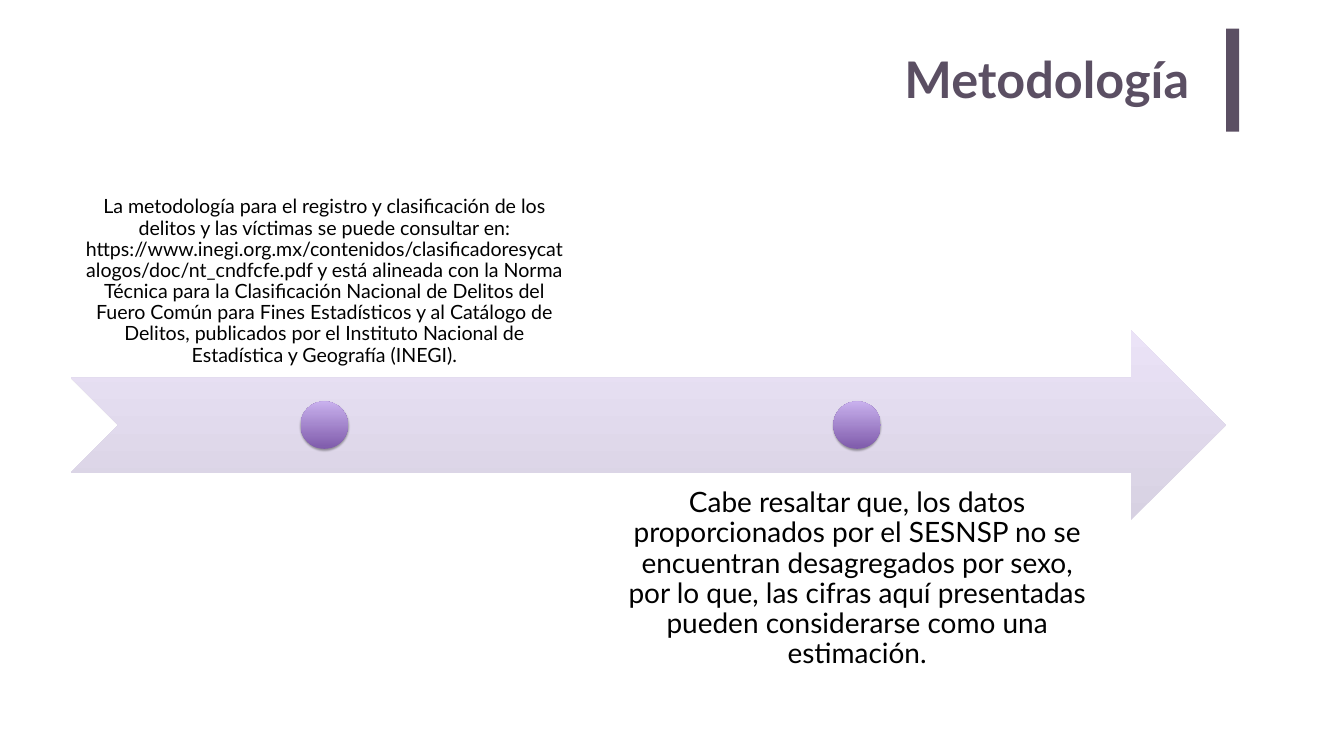
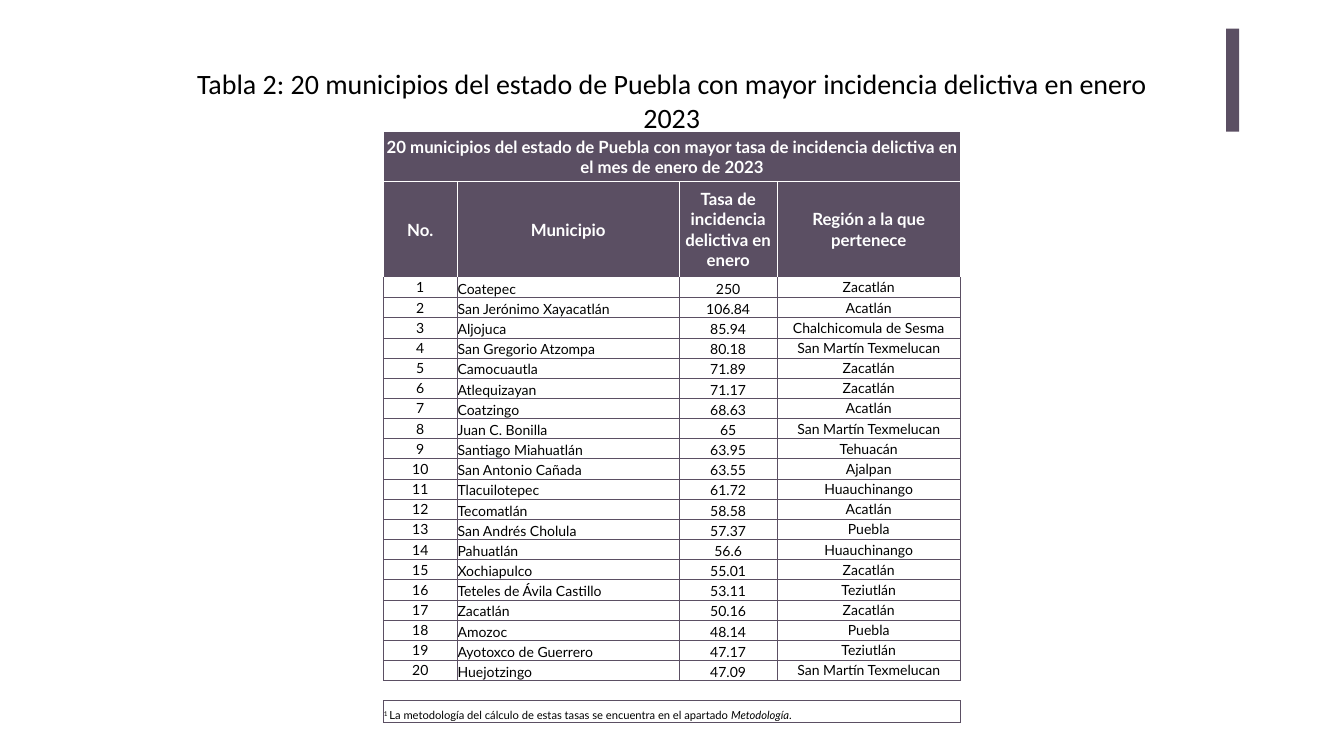
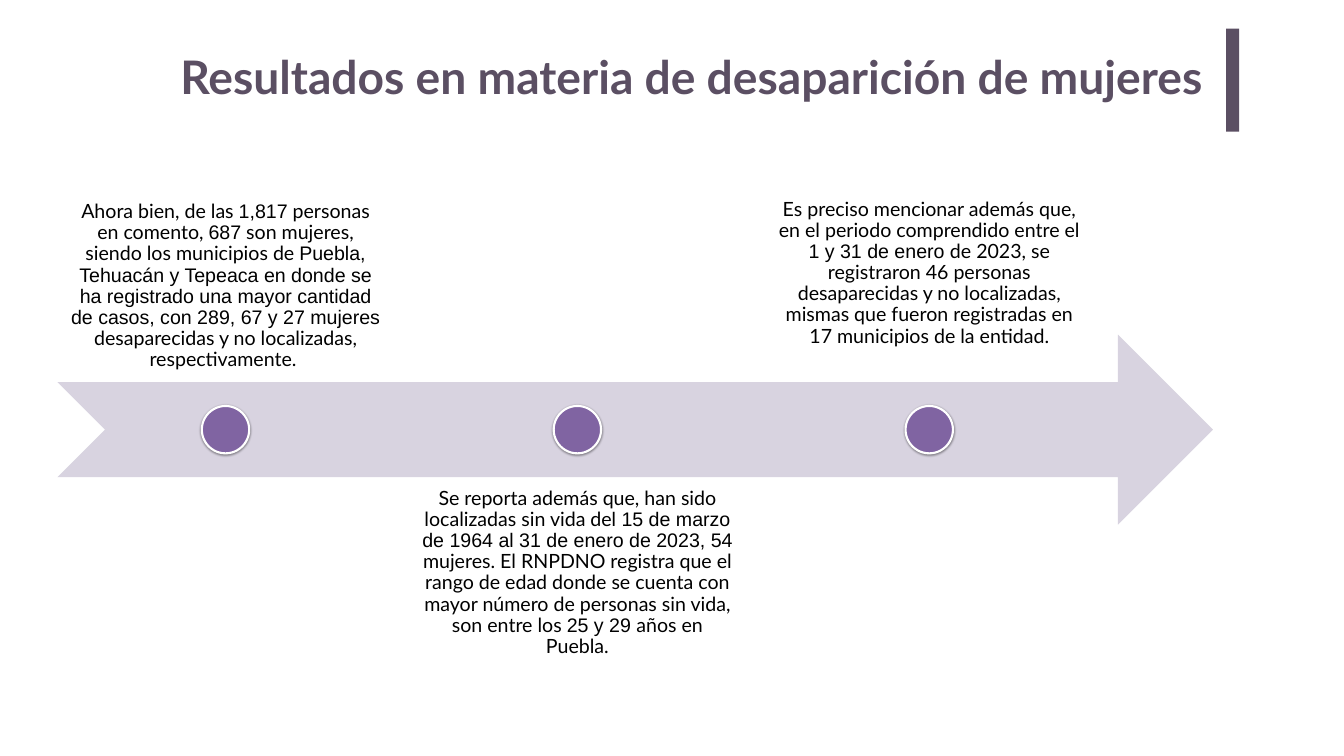
from copy import deepcopy

from lxml import etree
from pptx import Presentation
from pptx.dml.color import RGBColor
from pptx.enum.shapes import MSO_SHAPE as SHAPE
from pptx.enum.text import MSO_ANCHOR as ANCHOR, PP_ALIGN as ALIGN
from pptx.oxml.ns import qn
from pptx.util import Inches, Pt

COLORS = {
    "plum": "5B4F63", "black": "000000", "white": "FFFFFF",
    "arrow_low": "D7D1E2", "arrow_high": "EBE3F7", "arrow": "D8D3E0",
    "dot_low": "7F5BAB", "dot_high": "C8B0ED", "dot": "8064A2",
}
LATO, ARIAL, CALIBRI = "Lato", "Arial", "Calibri"
NO_STYLE = "{2D5ABB26-0587-4C30-8999-92F81FD0307C}"

METHOD = {
    "title": ("Metodología", 72, (15.53, 0.86, 8.27, 1.46)),
    "arrow": (1.4, 6.55), "text_left": 1.4, "text_width": 10.07,
    "arrow_fill": ("arrow_low", "arrow_high"), "dot_fill": ("dot_low", "dot_high"),
    "dot_line": None, "shadow": (35, 3.1, 1.8),
    "points": [
        (28, [("La metodología para el registro y clasificación de los delitos y las víctimas "
               "se puede consultar en: https://www.inegi.org.mx/contenidos/"
               "clasificadoresycatalogos/doc/nt_cndfcfe.pdf y está alineada con la Norma "
               "Técnica para la Clasificación Nacional de Delitos del Fuero Común para Fines "
               "Estadísticos y al Catálogo de Delitos, publicados por el Instituto Nacional de "
               "Estadística y Geografía (INEGI).", LATO)]),
        (40, [("Cabe resaltar que, los datos proporcionados por el SESNSP no se encuentran "
               "desagregados por sexo, por lo que, las cifras aquí presentadas pueden "
               "considerarse como una estimación.", LATO)]),
    ],
}

RESULTS = {
    "title": ("Resultados en materia de desaparición de mujeres", 66, (2.59, 0.86, 21.48, 2.04)),
    "arrow": (1.14, 6.64), "text_left": 1.15, "text_width": 6.65,
    "arrow_fill": ("arrow",), "dot_fill": ("dot",),
    "dot_line": "white", "shadow": (38, 3.1, 1.6),
    "points": [
        (28, [("Ahora bien, de las ", LATO), ("1,817", ARIAL),
              (" personas en comento, ", LATO), ("687", ARIAL),
              (" son mujeres, siendo los municipios de ", LATO),
              ("Puebla, Tehuacán y Tepeaca en donde se ha registrado una mayor cantidad de "
               "casos, con 289, 67 y 27 mujeres", ARIAL),
              (" desaparecidas y no localizadas, respectivamente. ", LATO)]),
        (28, [("Se reporta además que, han sido localizadas sin vida de", LATO),
              ("l 15 de marzo de 1964 al 31 de enero de 2023, 54", ARIAL),
              (" mujeres. El RNPDNO registra que el rango de edad donde se cuenta con mayor "
               "número de personas sin vida, son entre los ", LATO),
              ("25 y 29 ", ARIAL), ("años en Puebla.", LATO)]),
        (28, [("Es preciso mencionar además que, en el periodo comprendido entre el ", LATO),
              ("1 y 31 de enero ", ARIAL),
              ("de 2023, se registraron 46 personas desaparecidas y no localizadas, mismas que "
               "fueron registradas en 17 municipios de la entidad.\n", LATO)]),
    ],
}

TABLE_CAPTION = ("Tabla 2: 20 municipios del estado de Puebla con mayor incidencia delictiva "
                 "en enero 2023")
TABLE_TITLE = ("20 municipios del estado de Puebla con mayor tasa de incidencia delictiva "
               "en el mes de enero de 2023")
TABLE_HEAD = ("No.", "Municipio", "Tasa de incidencia delictiva en enero",
              "Región a la que pertenece")
MUNICIPALITIES = [
    ("Coatepec", "250", "Zacatlán"),
    ("San Jerónimo Xayacatlán", "106.84", "Acatlán"),
    ("Aljojuca", "85.94", "Chalchicomula de Sesma"),
    ("San Gregorio Atzompa", "80.18", "San Martín Texmelucan"),
    ("Camocuautla", "71.89", "Zacatlán"),
    ("Atlequizayan", "71.17", "Zacatlán"),
    ("Coatzingo", "68.63", "Acatlán"),
    ("Juan C. Bonilla", "65", "San Martín Texmelucan"),
    ("Santiago Miahuatlán", "63.95", "Tehuacán"),
    ("San Antonio Cañada", "63.55", "Ajalpan"),
    ("Tlacuilotepec", "61.72", "Huauchinango"),
    ("Tecomatlán", "58.58", "Acatlán"),
    ("San Andrés Cholula", "57.37", "Puebla"),
    ("Pahuatlán", "56.6", "Huauchinango"),
    ("Xochiapulco", "55.01", "Zacatlán"),
    ("Teteles de Ávila Castillo", "53.11", "Teziutlán"),
    ("Zacatlán", "50.16", "Zacatlán"),
    ("Amozoc", "48.14", "Puebla"),
    ("Ayotoxco de Guerrero", "47.17", "Teziutlán"),
    ("Huejotzingo", "47.09", "San Martín Texmelucan"),
]
FOOTNOTE = [("1 ", {"superscript": True}),
            ("La metodología del cálculo de estas tasas se encuentra en el apartado ", {}),
            ("Metodología", {"italic": True}), (".", {})]
COL_WIDTHS = (1.46, 4.41, 1.94, 3.64)
COL_ALIGNS = (ALIGN.CENTER, ALIGN.LEFT, ALIGN.CENTER, ALIGN.CENTER)
COL_ANCHORS = (ANCHOR.MIDDLE, ANCHOR.BOTTOM, ANCHOR.BOTTOM, ANCHOR.MIDDLE)


def rgb(name):
    return RGBColor.from_string(COLORS[name])


def box(*lengths):
    return [Inches(v) for v in lengths]


def add_run(p, text, size, font=LATO, color="black", bold=False, italic=False,
            superscript=False):
    r = p.add_run()
    r.text = text
    r.font.size, r.font.name = Pt(size), font
    r.font.bold, r.font.italic = bold, italic
    r.font.color.rgb = rgb(color)
    if superscript:
        r._r.get_or_add_rPr().set("baseline", "30000")
    return r


def add_text(s, at, align, insets=(0.1, 0.05), anchor=ANCHOR.TOP):
    tf = s.shapes.add_textbox(*box(*at)).text_frame
    tf.word_wrap = True
    tf.vertical_anchor = anchor
    tf.margin_left = tf.margin_right = Inches(insets[0])
    tf.margin_top = tf.margin_bottom = Inches(insets[1])
    p = tf.paragraphs[0]
    p.alignment = align
    return p


def add_shape(s, kind, at, fill, line=None):
    sp = s.shapes.add_shape(kind, *box(*at))
    sp.shadow.inherit = False
    if len(fill) == 1:
        sp.fill.solid()
        sp.fill.fore_color.rgb = rgb(fill[0])
    else:
        sp.fill.gradient()
        sp.fill.gradient_angle = 90
        for stop, name in zip(sp.fill.gradient_stops, fill):
            stop.color.rgb = rgb(name)
    if line:
        sp.line.color.rgb = rgb(line)
        sp.line.width = Pt(3)
    else:
        sp.line.fill.background()
    return sp


def add_shadow(sp, alpha, blur, dist):
    effects = sp._element.spPr.find(qn("a:effectLst"))
    shadow = etree.SubElement(effects, qn("a:outerShdw"), blurRad=str(Pt(blur)),
                              dist=str(Pt(dist)), dir="5400000", rotWithShape="0")
    color = etree.SubElement(shadow, qn("a:srgbClr"), val=COLORS["black"])
    etree.SubElement(color, qn("a:alpha"), val=str(alpha * 1000))


def new_slide(prs):
    s = prs.slides.add_slide(prs.slide_layouts[6])
    add_shape(s, SHAPE.RECTANGLE, (24.33, 0.57, 0.26, 2.04), ("plum",))
    return s


def add_point(s, at, size, runs, anchor):
    inset = round(size / 128, 2)
    p = add_text(s, at, ALIGN.CENTER, (inset, inset), anchor)
    p.line_spacing = 0.9
    p.space_after = Pt(size * 0.35)
    for text, font in runs:
        r = add_run(p, text.rstrip("\n"), size, font)
        if text.endswith("\n"):
            p.add_line_break()
            p._p[-1].append(deepcopy(r._r.rPr))
            p._p.get_or_add_endParaRPr().set("sz", str(size * 100))


def timeline_slide(prs, data):
    s = new_slide(prs)
    title, size, at = data["title"]
    add_run(add_text(s, at, ALIGN.RIGHT, (0.2, 0.1)), title, size, color="plum", bold=True)
    x, y = data["arrow"]
    height, offset, dot = 3.77, 2.83, 0.94
    add_shape(s, SHAPE.NOTCHED_RIGHT_ARROW, (x, y, 22.93, height), data["arrow_fill"])
    width = data["text_width"]
    for i, (size, runs) in enumerate(data["points"]):
        left = data["text_left"] + i * width * 1.05
        above = i % 2 == 0
        top = y - offset if above else y + offset
        add_point(s, (left, top, width, height), size, runs,
                  ANCHOR.BOTTOM if above else ANCHOR.TOP)
        sp = add_shape(s, SHAPE.OVAL,
                       (left + (width - dot) / 2, y + (height - dot) / 2, dot, dot),
                       data["dot_fill"], data["dot_line"])
        add_shadow(sp, *data["shadow"])


def set_borders(cell, **sides):
    tcPr = cell._tc.get_or_add_tcPr()
    for side in "LRTB":
        name = sides.get(side)
        ln = etree.SubElement(tcPr, qn(f"a:ln{side}"), w=str(Pt(0.5)))
        if name:
            fill = etree.SubElement(ln, qn("a:solidFill"))
            etree.SubElement(fill, qn("a:srgbClr"), val=COLORS[name])
        else:
            etree.SubElement(ln, qn("a:noFill"))


def style_cell(cell, anchor, borders, filled=False):
    cell.margin_left = cell.margin_right = cell.margin_top = Inches(0.01)
    cell.margin_bottom = 0
    cell.vertical_anchor = anchor
    set_borders(cell, **borders)
    if filled:
        cell.fill.solid()
        cell.fill.fore_color.rgb = rgb("plum")
    else:
        cell.fill.background()


def table_slide(prs):
    s = new_slide(prs)
    p = add_text(s, (3.76, 1.27, 19.14, 1.45), ALIGN.CENTER)
    add_run(p, TABLE_CAPTION, 40, CALIBRI)

    heights = [0.99, 1.9] + [0.4] * (len(MUNICIPALITIES) + 1) + [0.43]
    spacer, last = len(heights) - 2, len(heights) - 1
    frame = s.shapes.add_table(len(heights), len(COL_WIDTHS),
                               *box(7.61, 2.61, sum(COL_WIDTHS), sum(heights)))
    table = frame.table
    table.first_row = table.horz_banding = False
    table._tbl.tblPr.find(qn("a:tableStyleId")).text = NO_STYLE
    for col, width in zip(table.columns, COL_WIDTHS):
        col.width = Inches(width)
    for row, height in zip(table.rows, heights):
        row.height = Inches(height)

    for i, row in enumerate(table.rows):
        head = i < 2
        borders = dict.fromkeys("LRTB", "white" if head else "plum")
        if i == 2:
            borders["T"] = "white"
        if i == spacer:
            borders["L"] = borders["R"] = None
        for j, cell in enumerate(row.cells):
            anchor = ANCHOR.MIDDLE if head else ANCHOR.BOTTOM if i == last else COL_ANCHORS[j]
            style_cell(cell, anchor, borders, head)

    for i in (0, last):
        table.cell(i, 0).merge(table.cell(i, len(COL_WIDTHS) - 1))
    rows = [(TABLE_TITLE,), TABLE_HEAD]
    rows += [(str(n), *values) for n, values in enumerate(MUNICIPALITIES, 1)]
    for i, values in enumerate(rows):
        for j, text in enumerate(values):
            p = table.cell(i, j).text_frame.paragraphs[0]
            if i < 2:
                p.alignment = ALIGN.CENTER
                add_run(p, text, 24, color="white", bold=True)
            else:
                p.alignment = COL_ALIGNS[j]
                add_run(p, text, 20)
    p = table.cell(last, 0).text_frame.paragraphs[0]
    for text, style in FOOTNOTE:
        add_run(p, text, 16, **style)


def main():
    prs = Presentation()
    prs.slide_width, prs.slide_height = box(26.67, 15)
    timeline_slide(prs, METHOD)
    table_slide(prs)
    timeline_slide(prs, RESULTS)
    prs.save("out.pptx")


if __name__ == "__main__":
    main()
